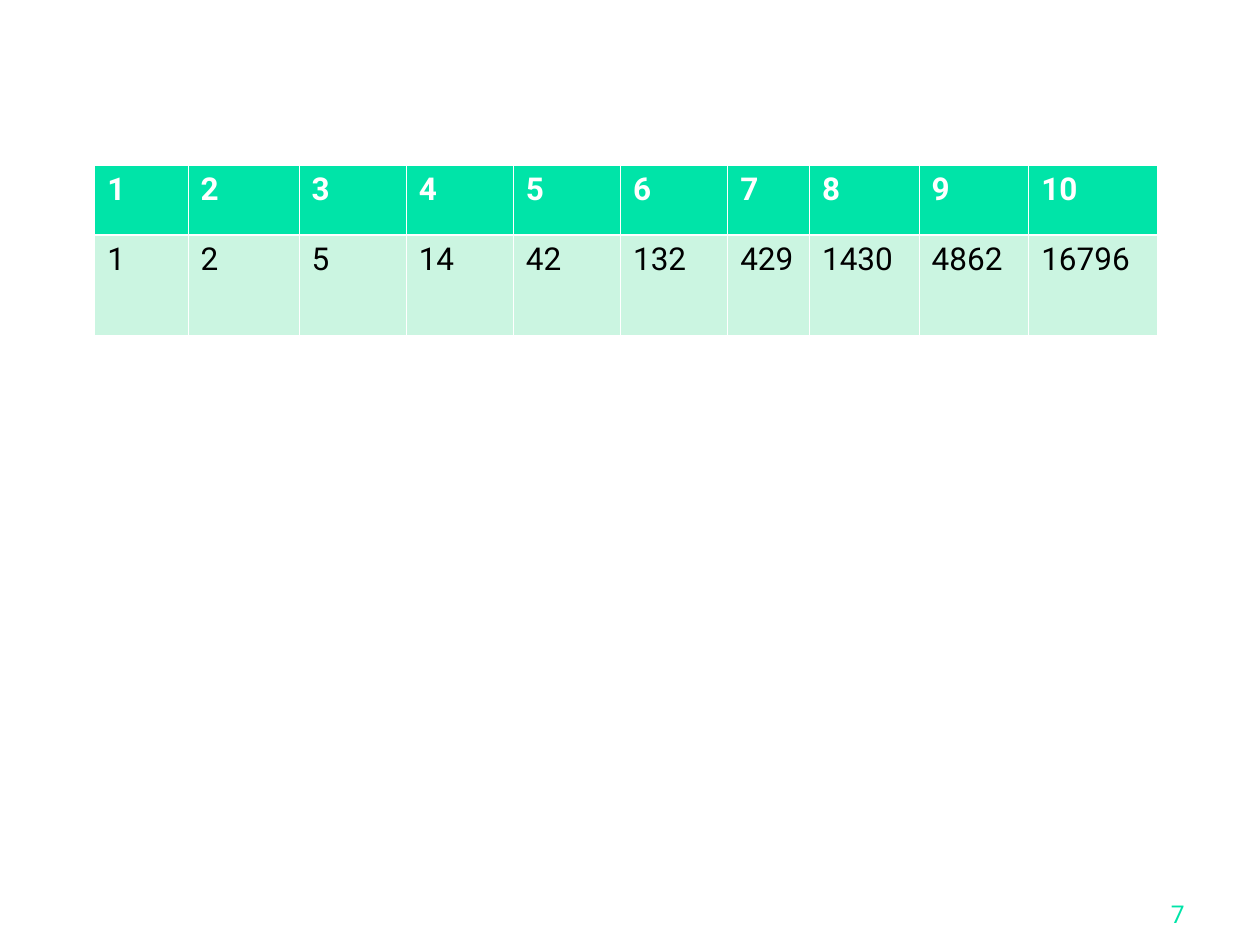
from dataclasses import dataclass

from lxml import etree
from pptx import Presentation, util as u
from pptx.dml.color import RGBColor
from pptx.enum import text
from pptx.oxml import ns


@dataclass(frozen=True)
class Theme:
    face: str = "Roboto"
    green: str = "00E4A8"
    mint: str = "CBF5E1"
    white: str = "FFFFFF"
    black: str = "000000"
    body: int = 18
    small: int = 14
    thin: float = 0.45
    thick: float = 1.47


THEME = Theme()
HEADS = range(1, 11)
COUNTS = [1, 2, 5, 14, 42, 132, 429, 1430, 4862, 16796]
# Column and row sizes in cm
COLS = [1.88, 2.24] + [2.16] * 4 + [1.65] + [2.21] * 2 + [2.59]
ROWS = [1.4, 2.03]


def write(frame, words, size, color, bold=False):
    par = frame.paragraphs[0]
    run = par.add_run()
    run.text = str(words)
    form = {"name": THEME.face, "size": u.Pt(size), "bold": bold}
    for key, value in form.items():
        setattr(run.font, key, value)
    run.font.color.rgb = RGBColor.from_string(color)
    return par


def edge(cell, sides):
    """Draw white cell borders, given as side and width in points."""
    props = cell._tc.get_or_add_tcPr()
    for side, width in sides.items():
        line = etree.SubElement(props, ns.qn(f"a:ln{side}"), w=str(u.Pt(width)))
        fill = etree.SubElement(line, ns.qn("a:solidFill"))
        etree.SubElement(fill, ns.qn("a:srgbClr"), val=THEME.white)


def add_grid(slide, left, top, width, height):
    """Header row of indices above a row of counts."""
    grid = slide.shapes.add_table(len(ROWS), len(COLS), left, top, width, height).table
    for col, size in zip(grid.columns, COLS):
        col.width = int(width * size / sum(COLS))
    for row, size in zip(grid.rows, ROWS):
        row.height = int(height * size / sum(ROWS))

    thin, thick = THEME.thin, THEME.thick
    looks = [
        (HEADS, THEME.green, THEME.white, True, thin, thick),
        (COUNTS, THEME.mint, THEME.black, False, thick, thin),
    ]
    for row, (values, back, ink, bold, above, below) in zip(grid.rows, looks):
        for cell, value in zip(row.cells, values):
            edge(cell, {"L": thin, "R": thin, "T": above, "B": below})
            cell.fill.solid()
            cell.fill.fore_color.rgb = RGBColor.from_string(back)
            write(cell.text_frame, value, THEME.body, ink, bold)


def add_number(slide, left, top, width, height):
    """Page number in the lower right corner."""
    frame = slide.shapes.add_textbox(left, top, width, height).text_frame
    form = {"word_wrap": True, "vertical_anchor": text.MSO_ANCHOR.BOTTOM}
    for key, value in form.items():
        setattr(frame, key, value)
    par = write(frame, 7, THEME.small, THEME.green)
    par.alignment = text.PP_ALIGN.RIGHT


def main():
    deck = Presentation()
    deck.slide_width, deck.slide_height = u.Cm(25.4), u.Cm(19.05)
    slide = deck.slides.add_slide(deck.slide_layouts[6])
    add_number(slide, u.Cm(18.85), u.Cm(17.58), u.Cm(5.28), u.Cm(1.27))
    add_grid(slide, u.Cm(1.91), u.Cm(3.33), u.Cm(sum(COLS)), u.Cm(sum(ROWS)))
    deck.save("out.pptx")


if __name__ == "__main__":
    main()
